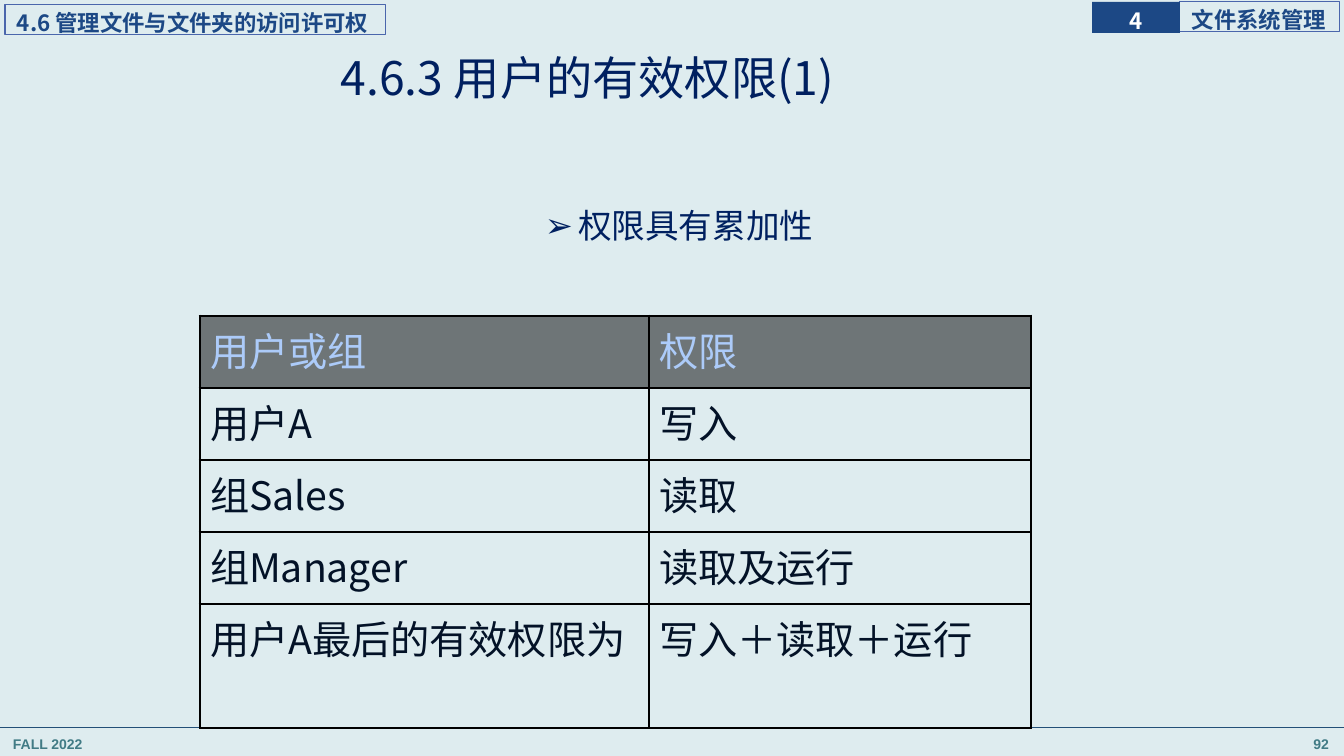
from lxml.etree import SubElement as Sub
from pptx import Presentation
from pptx.dml.color import RGBColor as RGB
from pptx.enum.shapes import MSO_CONNECTOR as Conn, MSO_SHAPE as Form
from pptx.enum.text import MSO_ANCHOR as Anchor, PP_ALIGN as Align
from pptx.oxml.ns import qn
from pptx.util import Emu, Pt

# Content
ROWS = [
    ("用户或组", "权限"),
    ("用户A", "写入"),
    ("组Sales", "读取"),
    ("组Manager", "读取及运行"),
    ("用户A最后的有效权限为", "写入＋读取＋运行"),
]
COLORS = {
    "back": "DEECEF", "navy": "002060", "blue": "1C4885", "edge": "4A66AC",
    "rule": "234F77", "teal": "417B85", "white": "FFFFFF", "black": "000000",
    "head": "ACCBF9", "ink": "031227",
}
CJK = "Noto Sans CJK SC"
HEAD = {"size": 16, "name": CJK, "bold": True, "color": "blue"}
FOOT = {"size": 10, "name": "Arial", "bold": True, "color": "teal"}
TITLE = {"size": 33, "name": CJK, "color": "navy"}
POINT = {"size": 24, "name": CJK, "color": "navy"}
CELL = {"size": 28, "name": CJK, "color": "ink"}

# text, box in px, font, paragraph, insets in px, anchor
TEXTS = [
    ("FALL 2022", (3, 727, 280, 31), FOOT,
     {"line_spacing": 1.2}, (10, 5, 10, 5), Anchor.TOP),
    ("92", (1059, 727, 280, 31), FOOT,
     {"line_spacing": 1.2, "alignment": Align.RIGHT}, (10, 5, 10, 5), Anchor.TOP),
    ("4.6.3 用户的有效权限(1)", (8, 48, 1159, 65), TITLE,
     {"line_spacing": 0.9, "alignment": Align.CENTER}, (8, 4, 8, 4), Anchor.MIDDLE),
]
# text, box in px, fill, line, font, alignment, left inset
BOXES = [
    ("文件系统管理", (1180, 2, 160, 30), None, "edge", HEAD, Align.LEFT, 12),
    ("4", (1092, 2, 88, 31), "blue", None, HEAD | {"color": "white"}, Align.CENTER, 0),
    ("4.6 管理文件与文件夹的访问许可权", (5, 5, 381, 30), None, "edge", HEAD, Align.LEFT, 12),
]
BULLET = ("权限具有累加性", (537, 198, 300, 60))
HANG = 33
COLS, HIGH, LAST = (449, 382), 72, 124
THIN, THICK = 1, 2.25


def px(n):
    return Emu(round(n * 914400 / 100.8))


def area(box):
    return [px(n) for n in box]


def tint(name):
    return RGB.from_string(COLORS[name])


def apply(obj, form):
    for key, val in form.items():
        setattr(obj, key, val)


def write(frame, text, font, para, inset, anchor):
    sides = ("margin_left", "margin_top", "margin_right", "margin_bottom")
    apply(frame, dict(zip(sides, area(inset)), word_wrap=True, vertical_anchor=anchor))
    par = frame.paragraphs[0]
    apply(par, para)
    style(par, text, font)
    return par


def style(par, text, font):
    run = par.add_run()
    run.text = text
    form = dict(font)
    run.font.color.rgb = tint(form.pop("color"))
    form["size"] = Pt(form["size"])
    apply(run.font, form)
    Sub(run.font._element, qn("a:ea"), typeface=font["name"])


def border(cell, widths):
    props = cell._tc.get_or_add_tcPr()
    for spot, (side, wide) in enumerate(widths.items()):
        line = Sub(props, qn(f"a:ln{side}"), w=str(Pt(wide)))
        fill = Sub(line, qn("a:solidFill"))
        Sub(fill, qn("a:srgbClr"), val=COLORS["black"])
        props.insert(spot, line)


# Slide
deck = Presentation()
deck.slide_width, deck.slide_height = px(1344), px(756)
slide = deck.slides.add_slide(deck.slide_layouts[6])
slide.background.fill.solid()
slide.background.fill.fore_color.rgb = tint("back")
shapes = slide.shapes

# Header boxes
for text, box, fill, edge, font, side, left in BOXES:
    shape = shapes.add_shape(Form.RECTANGLE, *area(box))
    shape.shadow.inherit = False
    if fill:
        shape.fill.solid()
        shape.fill.fore_color.rgb = tint(fill)
    else:
        shape.fill.background()
    if edge:
        shape.line.color.rgb = tint(edge)
        shape.line.width = Pt(0.75)
    else:
        shape.line.fill.background()
    write(shape.text_frame, text, font, {"line_spacing": 1.2, "alignment": side},
          (left, 0, 0, 0), Anchor.MIDDLE)

# Footer rule
rule = shapes.add_connector(Conn.STRAIGHT, *area((-3, 727, 1344, 727)))
rule.line.color.rgb = tint("rule")
rule.line.width = Pt(0.5)
Sub(rule._element.spPr, qn("a:effectLst"))

# Footer and title
for text, box, *rest in TEXTS:
    write(shapes.add_textbox(*area(box)).text_frame, text, *rest)

# Bullet point
text, box = BULLET
par = write(shapes.add_textbox(*area(box)).text_frame, text, POINT,
            {"line_spacing": 0.9}, (8, 4, 8, 4), Anchor.MIDDLE)
props = par._p.get_or_add_pPr()
props.set("marL", str(px(HANG)))
props.set("indent", str(px(-HANG)))
Sub(props, qn("a:buFont"), typeface="Arial")
Sub(props, qn("a:buChar"), char="➢")

# Permission table
count = len(ROWS)
size = (200, 316, sum(COLS), HIGH * (count - 1) + LAST)
table = shapes.add_table(count, len(COLS), *area(size)).table
apply(table, {"first_row": False, "horz_banding": False})
for col, wide in zip(table.columns, COLS):
    col.width = px(wide)
for r, words in enumerate(ROWS):
    table.rows[r].height = px(LAST if r == count - 1 else HIGH)
    for c, word in enumerate(words):
        cell = table.cell(r, c)
        style(cell.text_frame.paragraphs[0], word,
              CELL if r else CELL | {"color": "head"})
        if r:
            cell.fill.background()
        else:
            cell.fill.solid()
            cell.fill.fore_color.rgb = tint("black")
            shade = cell._tc.tcPr.find(".//" + qn("a:srgbClr"))
            Sub(shade, qn("a:alpha"), val="50000")
        outer = {"L": c == 0, "R": c == len(COLS) - 1,
                 "T": r == 0, "B": r == count - 1}
        border(cell, {k: THICK if v else THIN for k, v in outer.items()})

deck.save("out.pptx")
